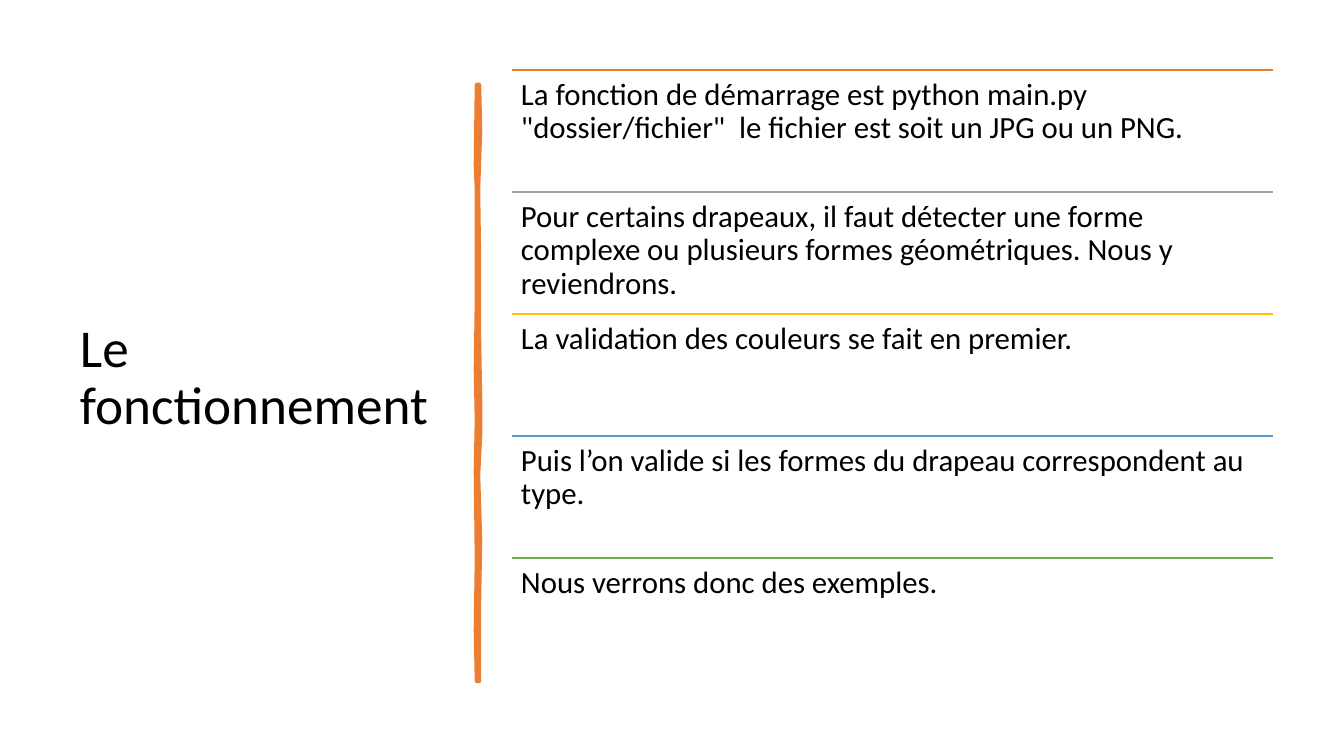
"""Build the slide « Le fonctionnement »: a title, a brush stroke and five ruled steps."""
import pptx
import pptx.dml.color
import pptx.enum.shapes
import pptx.enum.text
import pptx.oxml
import pptx.util

TITLE = "Le fonctionnement"
STEPS = [
    ("La fonction de démarrage est python main.py \"dossier/fichier\"  le fichier est soit un JPG ou un PNG.", "orange"),
    ("Pour certains drapeaux, il faut détecter une forme complexe ou plusieurs formes géométriques. Nous y reviendrons.", "gray"),
    ("La validation des couleurs se fait en premier.", "gold"),
    ("Puis l’on valide si les formes du drapeau correspondent au type.", "blue"),
    ("Nous verrons donc des exemples.", "green"),
]
THEME = {
    "font": "Calibri", "title": 38, "body": 22, "rule": 1, "stroke": 3.25,
    "black": "000000", "orange": "ED7D31", "gray": "A5A5A5",
    "gold": "FFC000", "blue": "5B9BD5", "green": "70AD47",
}

PX = 914400 / 100.8
SLIDE = (1344, 756)
TITLE_BOX = (70, 71, 377, 616)
TITLE_INSET, STEP_INSET = 10, 9
STEP_LEFT, STEP_TOP, STEP_WIDTH, STEP_HEIGHT = 512, 70, 761, 122
STROKE_RIGHT = [(479, 85), (480, 130), (478, 190), (479, 260), (479, 340),
                (480, 400), (480, 435), (478, 475), (480, 540), (479, 600), (479, 681)]
STROKE_LEFT = [(477, 681), (476, 630), (477, 560), (476, 470), (477, 420),
               (476, 370), (477, 300), (477, 190), (476, 165), (477, 85)]


def emu(px):
    return pptx.util.Emu(round(px * PX))


def color(name):
    return pptx.dml.color.RGBColor.from_string(THEME[name])


def add_text(s, box, text, size, inset, anchor):
    tf = s.shapes.add_textbox(*map(emu, box)).text_frame
    tf.word_wrap = True
    tf.vertical_anchor = anchor
    tf.margin_left = tf.margin_right = emu(inset)
    tf.margin_top = tf.margin_bottom = emu(STEP_INSET)
    p = tf.paragraphs[0]
    p.text = text
    p.line_spacing = 0.9
    p.font.name = THEME["font"]
    p.font.size = pptx.util.Pt(THEME[size])
    p.font.color.rgb = color("black")


def add_rule(s, y, name):
    ends = map(emu, (STEP_LEFT, y, STEP_LEFT + STEP_WIDTH, y))
    line = s.shapes.add_connector(pptx.enum.shapes.MSO_CONNECTOR.STRAIGHT, *ends)
    line.line.color.rgb = color(name)
    line.line.width = pptx.util.Pt(THEME["rule"])
    pptx.oxml.xmlchemy.OxmlElement
    line._element.spPr.append(pptx.oxml.parse_xml(
        '<a:effectLst xmlns:a="http://schemas.openxmlformats.org/drawingml/2006/main"/>'))


def add_stroke(s):
    builder = s.shapes.build_freeform(*STROKE_RIGHT[0], scale=PX)
    builder.add_line_segments(STROKE_RIGHT[1:] + STROKE_LEFT, close=True)
    sp = builder.convert_to_shape()
    sp.shadow.inherit = False
    sp.fill.solid()
    sp.fill.fore_color.rgb = color("orange")
    sp.line.color.rgb = color("orange")
    sp.line.width = pptx.util.Pt(THEME["stroke"])
    sp.line._get_or_add_ln().append(pptx.oxml.parse_xml(
        '<a:round xmlns:a="http://schemas.openxmlformats.org/drawingml/2006/main"/>'))


def main():
    prs = pptx.Presentation()
    prs.slide_width, prs.slide_height = map(emu, SLIDE)
    s = prs.slides.add_slide(prs.slide_layouts[6])
    anchors = pptx.enum.text.MSO_ANCHOR
    add_text(s, TITLE_BOX, TITLE, "title", TITLE_INSET, anchors.MIDDLE)
    add_stroke(s)
    for i, (text, name) in enumerate(STEPS):
        y = STEP_TOP + i * STEP_HEIGHT
        add_rule(s, y, name)
        add_text(s, (STEP_LEFT, y, STEP_WIDTH, STEP_HEIGHT), text, "body", STEP_INSET, anchors.TOP)
    prs.save("out.pptx")


if __name__ == "__main__":
    main()
